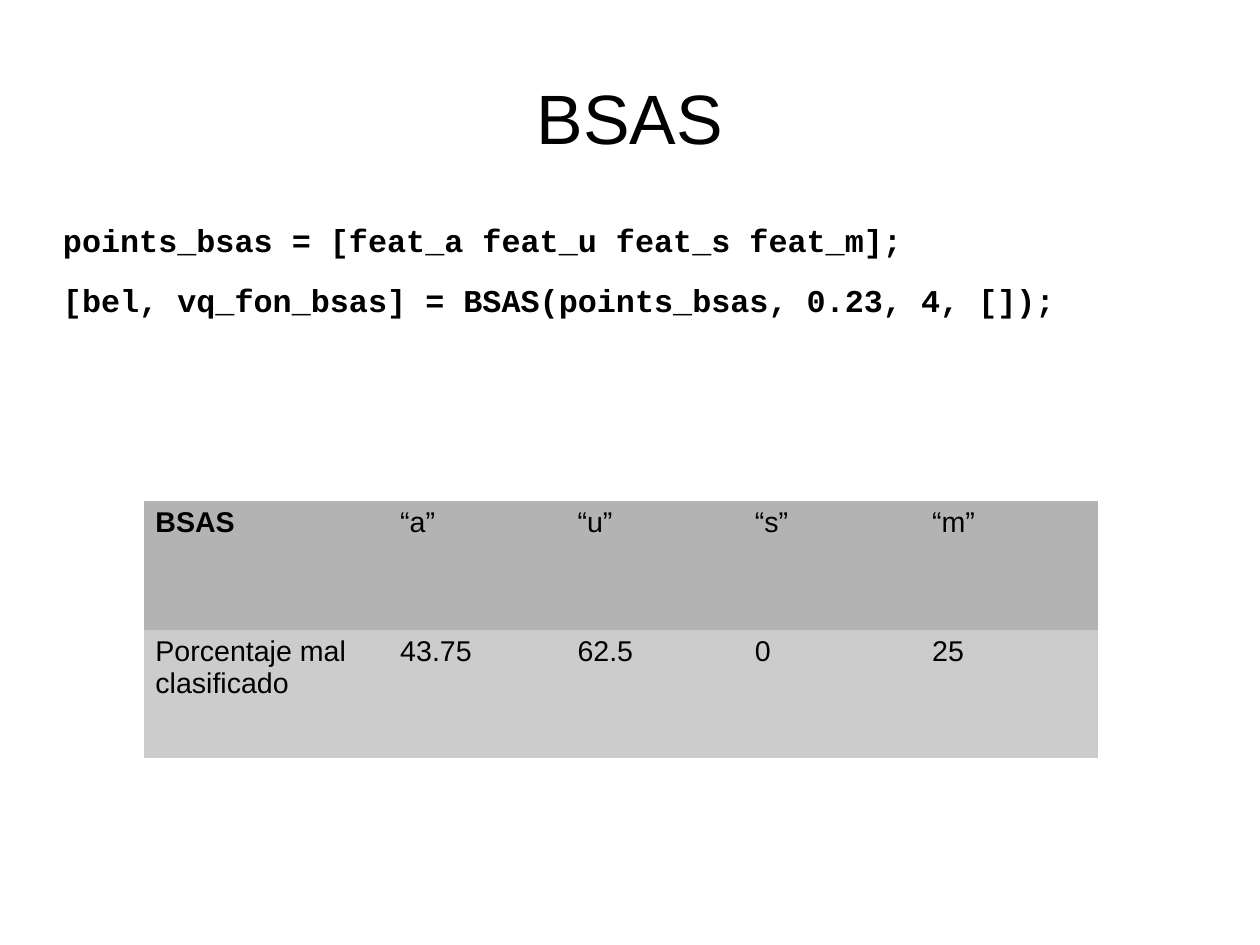
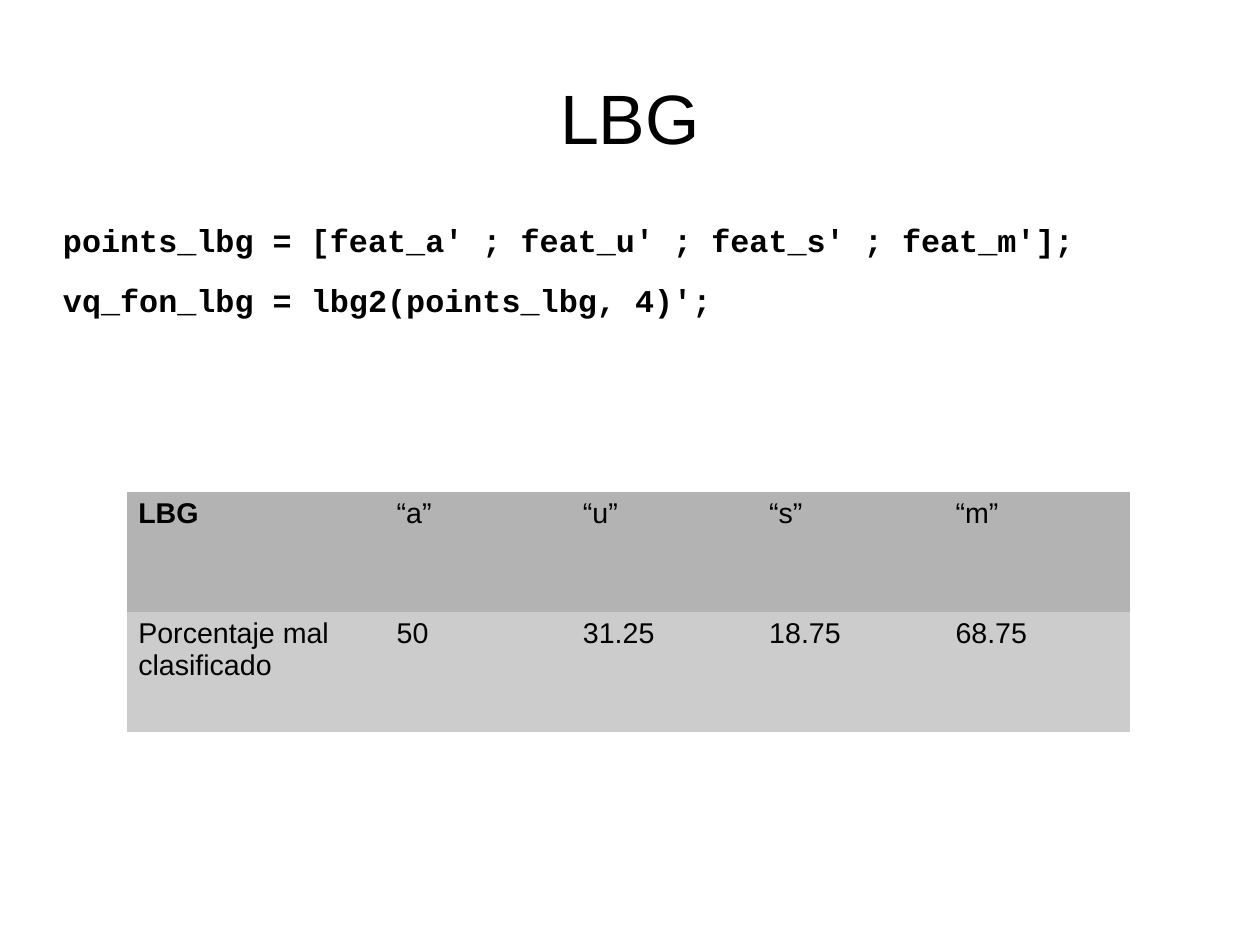
from pptx import Presentation
from pptx.dml.color import RGBColor
from pptx.enum.text import MSO_ANCHOR, MSO_AUTO_SIZE, PP_ALIGN
from pptx.oxml.ns import qn
from pptx.util import Cm, Pt

CENTER, LEFT = PP_ALIGN.CENTER, PP_ALIGN.LEFT
TOP, MIDDLE = MSO_ANCHOR.TOP, MSO_ANCHOR.MIDDLE
NO_AUTOFIT = MSO_AUTO_SIZE.NONE

COLORS = {"text": "000000", "header": "B3B3B3", "result": "CCCCCC"}
SANS, MONO = "Arial", "Courier New"
PLAIN_TABLE = "{2D5ABB26-0587-4C30-8999-92F81FD0307C}"
TITLE_AREA = (1.4, 0.84, 25.2, 3.5)
CODE_AREA = (1.4, 4.9, 24.64, 12.17)
CLASSES = ["“a”", "“u”", "“s”", "“m”"]
RESULT_LABEL = "Porcentaje mal clasificado"

METHODS = [
    {
        "name": "BSAS",
        "code": [
            "points_bsas = [feat_a feat_u feat_s feat_m];",
            "[bel, vq_fon_bsas] = BSAS(points_bsas, 0.23, 4, []);",
        ],
        "errors": ["43.75", "62.5", "0", "25"],
        "origin": (3.2, 11.13),
        "label_width": 5.44,
        "class_width": 3.94,
        "row_height": 2.86,
    },
    {
        "name": "LBG",
        "code": [
            "points_lbg = [feat_a' ; feat_u' ; feat_s' ; feat_m'];",
            "vq_fon_lbg = lbg2(points_lbg, 4)';",
        ],
        "errors": ["50", "31.25", "18.75", "68.75"],
        "origin": (2.82, 10.94),
        "label_width": 5.74,
        "class_width": 4.14,
        "row_height": 2.66,
    },
]


def add_run(paragraph, text, size, font=SANS, bold=False):
    run = paragraph.add_run()
    run.text = text
    run.font.name = font
    run.font.size = Pt(size)
    run.font.bold = bold
    run.font.color.rgb = RGBColor.from_string(COLORS["text"])


def prepare_frame(frame, anchor):
    frame.word_wrap = True
    frame.auto_size = NO_AUTOFIT
    frame.vertical_anchor = anchor
    frame.margin_left = frame.margin_right = 0
    frame.margin_top = frame.margin_bottom = 0


def add_title(slide, name):
    title = slide.shapes.title
    title.left, title.top, title.width, title.height = map(Cm, TITLE_AREA)
    prepare_frame(title.text_frame, MIDDLE)
    heading = title.text_frame.paragraphs[0]
    heading.alignment = CENTER
    add_run(heading, name, 44)


def add_code(slide, lines):
    frame = slide.shapes.add_textbox(*map(Cm, CODE_AREA)).text_frame
    prepare_frame(frame, TOP)
    for index, line in enumerate(lines):
        paragraph = frame.add_paragraph() if index else frame.paragraphs[0]
        paragraph.alignment = LEFT
        paragraph.space_after = Pt(14.2)
        add_run(paragraph, line, 20, MONO, True)


def add_results(slide, method):
    rows = [
        ("header", [method["name"], *CLASSES]),
        ("result", [RESULT_LABEL, *method["errors"]]),
    ]
    widths = [method["label_width"]] + [method["class_width"]] * len(CLASSES)
    height = method["row_height"]
    left, top = method["origin"]
    holder = slide.shapes.add_table(
        len(rows), len(widths), Cm(left), Cm(top),
        Cm(sum(widths)), Cm(height * len(rows)),
    )
    table = holder.table
    table.first_row = table.horz_banding = False
    next(holder.element.iter(qn("a:tableStyleId"))).text = PLAIN_TABLE
    for column, width in zip(table.columns, widths):
        column.width = Cm(width)
    for r, (role, values) in enumerate(rows):
        table.rows[r].height = Cm(height)
        for c, value in enumerate(values):
            cell = table.cell(r, c)
            cell.fill.solid()
            cell.fill.fore_color.rgb = RGBColor.from_string(COLORS[role])
            add_run(cell.text_frame.paragraphs[0], value, 18, bold=r == c == 0)


def main():
    deck = Presentation()
    deck.slide_width, deck.slide_height = Cm(28), Cm(21)
    title_only = deck.slide_layouts[5]
    for method in METHODS:
        slide = deck.slides.add_slide(title_only)
        add_title(slide, method["name"])
        add_code(slide, method["code"])
        add_results(slide, method)
    deck.save("out.pptx")


if __name__ == "__main__":
    main()
